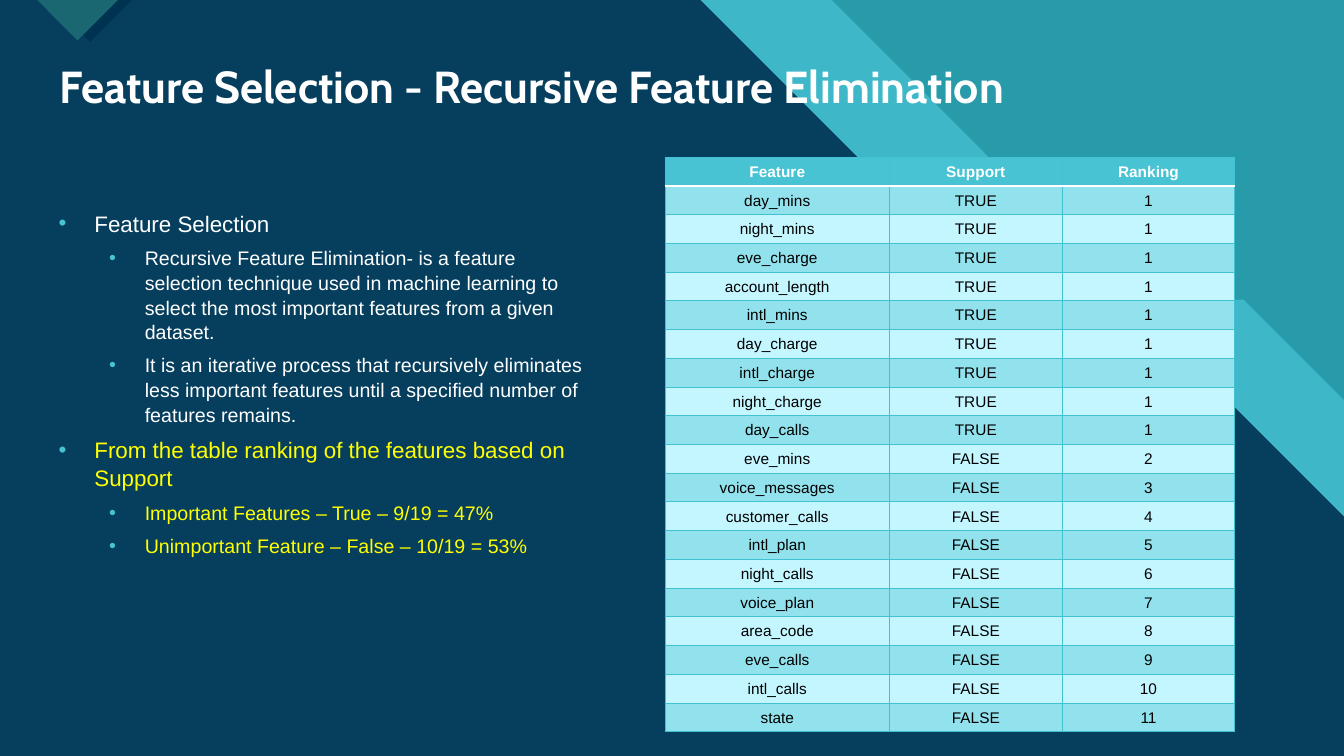
from lxml import etree
from pptx import Presentation
from pptx import util as u
from pptx.dml.color import RGBColor
from pptx.enum import text
from pptx.oxml import ns

WIDTH, HEIGHT = 33.87, 19.05
NAVY, TEAL, AQUA, PINE = "003252", "289BAA", "47C3D3", "1B6771"
WHITE, YELLOW, BLACK = "FFFFFF", "FFFF00", "000000"
BAND, PALE, GRID = "92E2ED", "C4F6FF", "42C1D2"

BULLETS = [
    (0, "Feature Selection", WHITE),
    (1, "Recursive Feature Elimination- is a feature selection technique used in machine learning "
        "to select the most important features from a given dataset.", WHITE),
    (1, "It is an iterative process that recursively eliminates less important features until a "
        "specified number of features remains.", WHITE),
    (0, "From the table ranking of the features based on Support", YELLOW),
    (1, "Important Features – True – 9/19 = 47%", YELLOW),
    (1, "Unimportant Feature – False – 10/19 = 53%", YELLOW),
]
HEADERS = ("Feature", "Support", "Ranking")
SELECTED = ("day_mins", "night_mins", "eve_charge", "account_length", "intl_mins",
            "day_charge", "intl_charge", "night_charge", "day_calls")
REJECTED = ("eve_mins", "voice_messages", "customer_calls", "intl_plan", "night_calls",
            "voice_plan", "area_code", "eve_calls", "intl_calls", "state")


def rgb(color):
    return RGBColor.from_string(color)


def sub(parent, tag, **attrs):
    return etree.SubElement(parent, ns.qn(tag), attrs)


def write(p, content, size, color=WHITE, font="Arial", bold=False, align=None, spacing=None):
    p.alignment = align
    p.line_spacing = spacing
    r = p.add_run()
    r.text = content
    r.font.size = u.Pt(size)
    r.font.name = font
    r.font.bold = bold
    r.font.color.rgb = rgb(color)


def polygon(s, box, points, color, alpha=100):
    x, y, w, h = box
    pts = [(u.Cm(x + px * w), u.Cm(y + py * h)) for px, py in points]
    builder = s.shapes.build_freeform(*pts[0], scale=1.0)
    builder.add_line_segments(pts[1:], close=True)
    sp = builder.convert_to_shape()
    sp.shadow.inherit = False
    sp.fill.solid()
    sp.fill.fore_color.rgb = rgb(color)
    sp.line.fill.background()
    if alpha < 100:
        sub(sp.fill._xPr.find(".//" + ns.qn("a:srgbClr")), "a:alpha", val=str(alpha * 1000))


def panel(s, box, corners, color, alpha):
    x, y, w, h = box
    edge = [(px / w, py / h) for px, py in corners]
    polygon(s, box, [(0, 0)] + edge + [(1, 1), (0, 1)], color, alpha)


def backdrop(s, box):
    polygon(s, box, [(0, 0), (1, 0), (1, 1), (0, 1)], TEAL)
    panel(s, box, [(20.96, 0), (28.5, 7.55), (31.34, 7.55), (WIDTH, 10.08)], AQUA, 74)
    panel(s, box, [(17.65, 0), (25.2, 7.55), (28.4, 7.55), (WIDTH, 13.02)], NAVY, 90)


def corner_mark(s, box):
    x, y, w, h = box
    triangle = [(0, 0), (1, 0), (0.5, 1)]
    polygon(s, (x + 0.28, y, w + 0.08, h + 0.04), triangle, NAVY)
    polygon(s, box, triangle, PINE)


def text_box(s, box, anchor):
    tf = s.shapes.add_textbox(*map(u.Cm, box)).text_frame
    tf.word_wrap = True
    tf.vertical_anchor = anchor
    return tf


def title(s, box):
    tf = text_box(s, box, text.MSO_ANCHOR.MIDDLE)
    write(tf.paragraphs[0], "Feature Selection - Recursive Feature Elimination", 32,
          font="Cabin", bold=True, spacing=0.9)


def bullet_list(s, box):
    tf = text_box(s, box, text.MSO_ANCHOR.TOP)
    for i, (level, content, color) in enumerate(BULLETS):
        p = tf.add_paragraph() if i else tf.paragraphs[0]
        write(p, content, 14 if level else 16, color, spacing=1.05)
        p.level = level
        p.space_before = u.Pt(6)
        pPr = p._p.get_or_add_pPr()
        pPr.set("marL", str(u.Cm(1.27 * (level + 1))))
        pPr.set("indent", str(-u.Cm(0.9)))
        sub(sub(pPr, "a:buClr"), "a:srgbClr", val=AQUA)
        sub(pPr, "a:buFont", typeface="Arial")
        sub(pPr, "a:buChar", char="•")


def borders(cell, row):
    tcPr = cell._tc.get_or_add_tcPr()
    heavy = {0: "a:lnB", 1: "a:lnT"}.get(row)
    for i, tag in enumerate(("a:lnL", "a:lnR", "a:lnT", "a:lnB")):
        color, width = (WHITE, 2) if tag == heavy else (GRID, 0.75)
        ln = etree.Element(ns.qn(tag), w=str(u.Pt(width)))
        sub(sub(ln, "a:solidFill"), "a:srgbClr", val=color)
        tcPr.insert(i, ln)


def ranking_table(s, box):
    x, y, w, h = box
    rows = [HEADERS] + [(name, "TRUE", "1") for name in SELECTED]
    rows += [(name, "FALSE", str(rank)) for rank, name in enumerate(REJECTED, 2)]
    tbl = s.shapes.add_table(len(rows), len(HEADERS), *map(u.Cm, box)).table
    tbl.horz_banding = False
    for col, share in zip(tbl.columns, (0.394, 0.303, 0.303)):
        col.width = u.Cm(w * share)
    for i, values in enumerate(rows):
        tbl.rows[i].height = u.Cm(h / len(rows))
        for j, value in enumerate(values):
            cell = tbl.cell(i, j)
            cell.margin_left = cell.margin_right = cell.margin_top = u.Cm(0.02)
            cell.margin_bottom = 0
            cell.vertical_anchor = text.MSO_ANCHOR.MIDDLE
            cell.fill.solid()
            cell.fill.fore_color.rgb = rgb(AQUA if i == 0 else BAND if i % 2 else PALE)
            write(cell.text_frame.paragraphs[0], value, 11, BLACK if i else WHITE,
                  bold=i == 0, align=text.PP_ALIGN.CENTER)
            borders(cell, i)


def main():
    prs = Presentation()
    prs.slide_width, prs.slide_height = u.Cm(WIDTH), u.Cm(HEIGHT)
    s = prs.slides.add_slide(prs.slide_layouts[6])
    backdrop(s, (0, 0, WIDTH, HEIGHT))
    corner_mark(s, (0.94, 0, 2.03, 1.02))
    title(s, (1.24, 1.5, 31.14, 1.5))
    bullet_list(s, (0.86, 5.13, 14.27, 9.78))
    ranking_table(s, (16.76, 3.96, 14.36, 14.48))
    prs.save("out.pptx")


if __name__ == "__main__":
    main()
